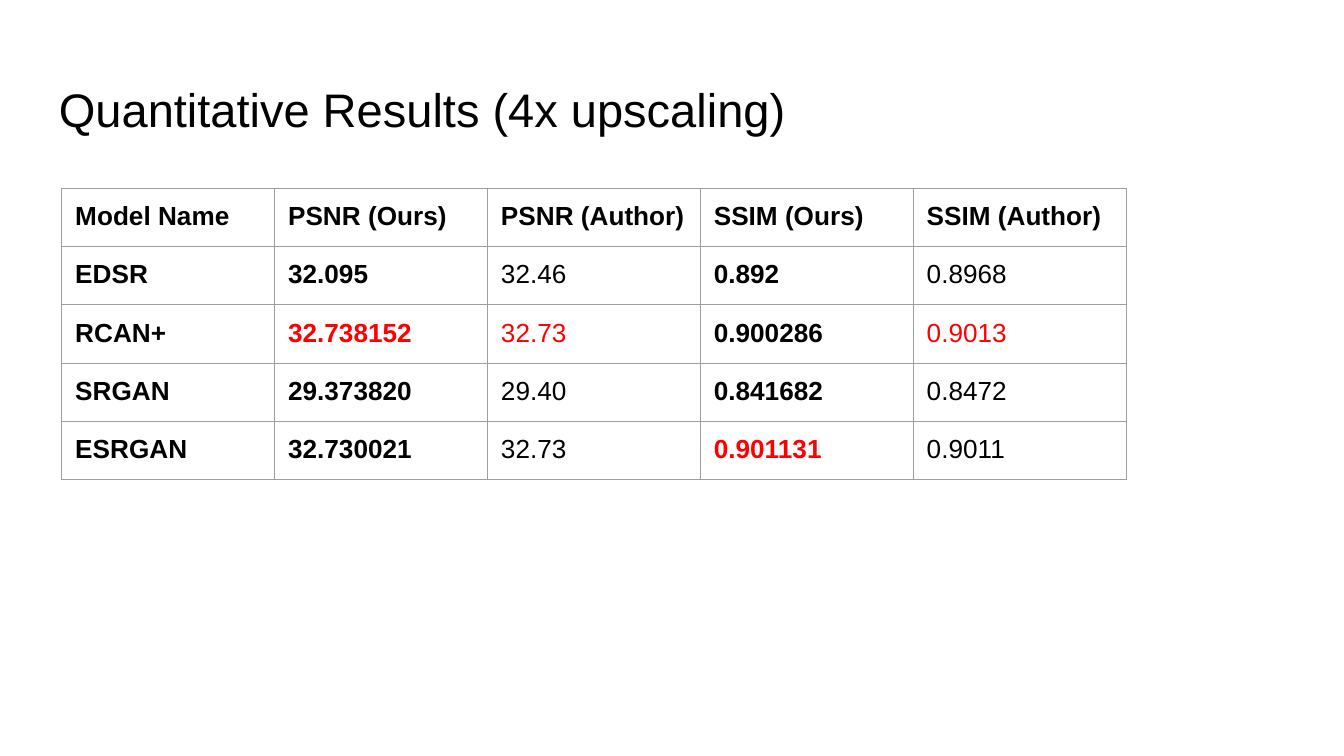
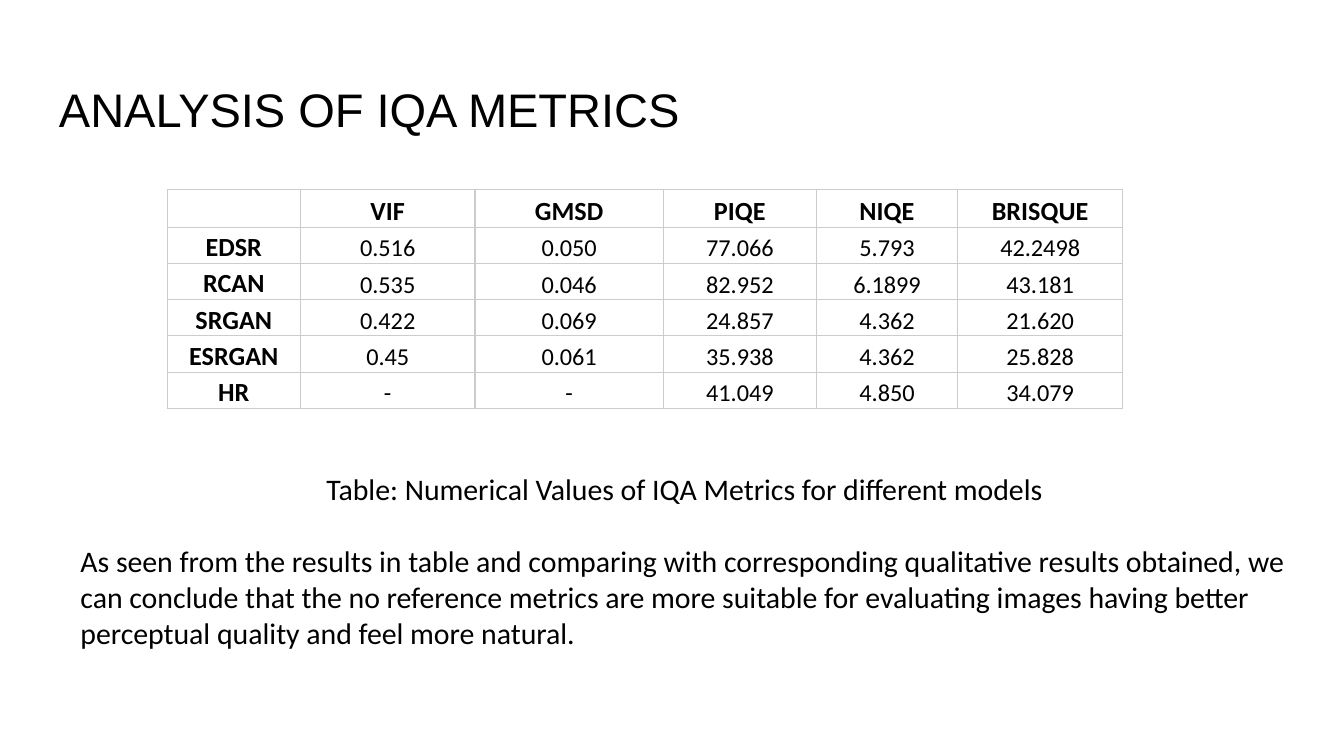
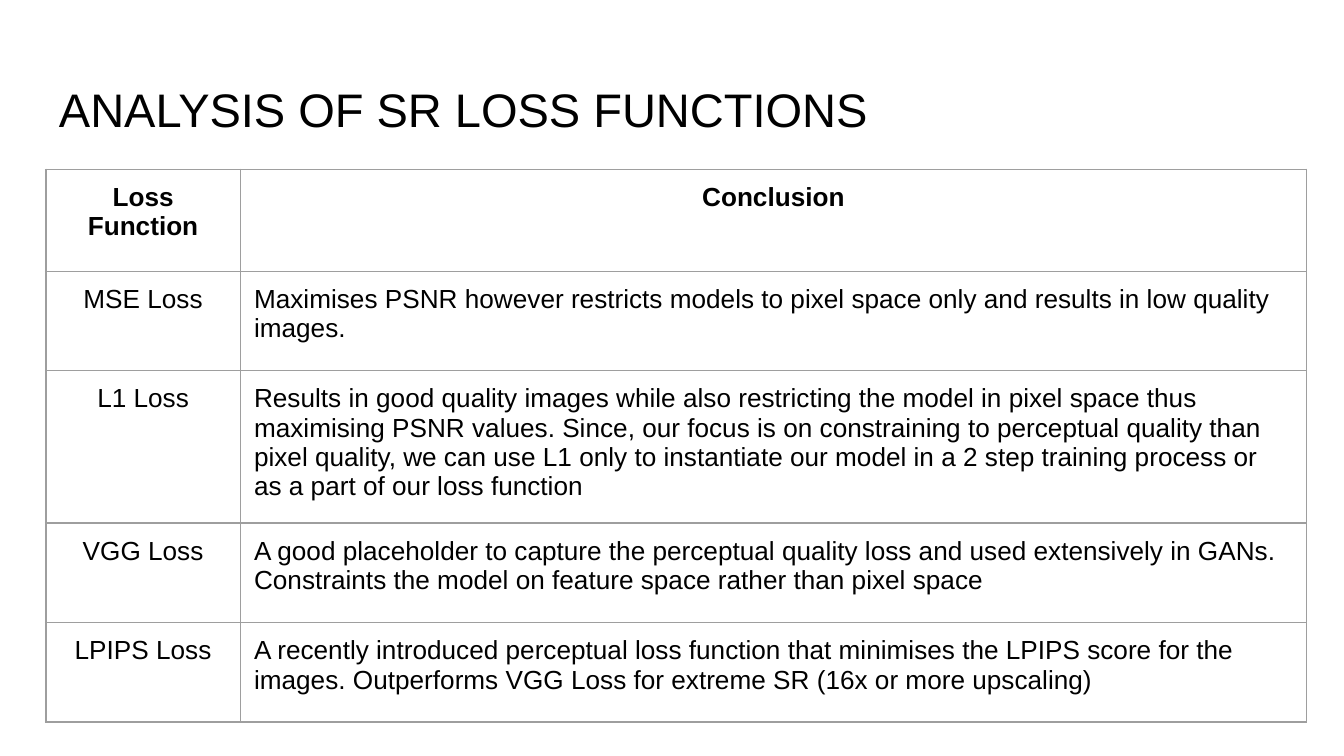
from lxml import etree
from pptx import Presentation
from pptx.dml.color import RGBColor
from pptx.enum.text import MSO_ANCHOR, PP_ALIGN
from pptx.oxml.ns import qn
from pptx.util import Inches, Pt

BLACK = RGBColor(0x00, 0x00, 0x00)
RED = RGBColor(0xFF, 0x00, 0x00)
GRAY = RGBColor(0x9E, 0x9E, 0x9E)
LIGHT_GRAY = RGBColor(0xCC, 0xCC, 0xCC)

LEFT, CENTER = PP_ALIGN.LEFT, PP_ALIGN.CENTER
TOP, BOTTOM = MSO_ANCHOR.TOP, MSO_ANCHOR.BOTTOM

SLIDE_WIDTH, SLIDE_HEIGHT = Inches(10), Inches(5.625)
PADDING = (0.1, 0.1)
TIGHT_PADDING = (0.03, 0)

QUALITY_ROWS = [
    ["Model Name", "PSNR (Ours)", "PSNR (Author)", "SSIM (Ours)", "SSIM (Author)"],
    ["EDSR", "32.095", "32.46", "0.892", "0.8968"],
    ["RCAN+", "32.738152", "32.73", "0.900286", "0.9013"],
    ["SRGAN", "29.373820", "29.40", "0.841682", "0.8472"],
    ["ESRGAN", "32.730021", "32.73", "0.901131", "0.9011"],
]
BEST_CELLS = {(2, 1), (2, 2), (2, 4), (4, 3)}

IQA_ROWS = [
    ["", "VIF", "GMSD", "PIQE", "NIQE", "BRISQUE"],
    ["EDSR", "0.516", "0.050", "77.066", "5.793", "42.2498"],
    ["RCAN", "0.535", "0.046", "82.952", "6.1899", "43.181"],
    ["SRGAN", "0.422", "0.069", "24.857", "4.362", "21.620"],
    ["ESRGAN", "0.45", "0.061", "35.938", "4.362", "25.828"],
    ["HR", "-", "-", "41.049", "4.850", "34.079"],
]
IQA_CAPTION = "Table: Numerical Values of IQA Metrics for different models"
IQA_CONCLUSION = (
    "As seen from the results in table and comparing with corresponding "
    "qualitative results obtained, we can conclude that the no reference metrics "
    "are more suitable for evaluating images having better perceptual quality "
    "and feel more natural."
)

LOSS_ROWS = [
    ["Loss Function", "Conclusion"],
    ["MSE Loss",
     "Maximises PSNR however restricts models to pixel space only and results in "
     "low quality images."],
    ["L1 Loss",
     "Results in good quality images while also restricting the model in pixel "
     "space thus maximising PSNR values. Since, our focus is on constraining to "
     "perceptual quality than pixel quality, we can use L1 only to instantiate our "
     "model in a 2 step training process or as a part of our loss function"],
    ["VGG Loss",
     "A good placeholder to capture the perceptual quality loss and used "
     "extensively in GANs. Constraints the model on feature space rather than "
     "pixel space"],
    ["LPIPS Loss",
     "A recently introduced perceptual loss function that minimises the LPIPS "
     "score for the images. Outperforms VGG Loss for extreme SR (16x or more "
     "upscaling)"],
]


def across(percent):
    return round(SLIDE_WIDTH * percent / 100)


def down(percent):
    return round(SLIDE_HEIGHT * percent / 100)


def write(paragraph, text, size=14, font="Arial", color=BLACK, bold=False,
          align=LEFT, spacing=None, before=0):
    """Fill one paragraph with text in the given format."""
    paragraph.alignment = align
    if spacing:
        paragraph.line_spacing = spacing
    if before:
        paragraph.space_before = Pt(before)
    if not text:
        # An empty cell still takes its height from the text size
        etree.SubElement(paragraph._p, qn("a:endParaRPr"), sz=str(size * 100))
        return
    run = paragraph.add_run()
    run.text = text
    run.font.name = font
    run.font.size = Pt(size)
    run.font.bold = bold
    run.font.color.rgb = color


def set_padding(holder, padding):
    side, end = padding
    holder.margin_left = holder.margin_right = Inches(side)
    holder.margin_top = holder.margin_bottom = Inches(end)


def add_text_frame(slide, left, top, width, height):
    box = slide.shapes.add_textbox(across(left), down(top), across(width), down(height))
    frame = box.text_frame
    frame.word_wrap = True
    frame.vertical_anchor = BOTTOM
    set_padding(frame, PADDING)
    return frame


def add_titled_slide(deck, title):
    slide = deck.slides.add_slide(deck.slide_layouts[6])
    frame = add_text_frame(slide, 3.4, 8.7, 93.2, 11.2)
    write(frame.paragraphs[0], title, size=25.2)
    return slide


def set_borders(cell, color, width):
    properties = cell._tc.get_or_add_tcPr()
    for position, side in enumerate(("lnL", "lnR", "lnT", "lnB")):
        line = etree.Element(qn(f"a:{side}"), w=str(Pt(width)))
        fill = etree.SubElement(line, qn("a:solidFill"))
        etree.SubElement(fill, qn("a:srgbClr"), val=str(color))
        properties.insert(position, line)


def add_grid(slide, rows, left, top, widths, heights, cell_format, line_color=GRAY,
             line_width=0.75, padding=PADDING, anchor=TOP):
    """Add a plain ruled table; cell_format(row, column) gives the text format."""
    table = slide.shapes.add_table(
        len(rows), len(widths), across(left), down(top),
        across(sum(widths)), down(sum(heights))).table
    table.first_row = table.horz_banding = False
    for column, width in zip(table.columns, widths):
        column.width = across(width)
    for row, height in zip(table.rows, heights):
        row.height = down(height)
    for r, texts in enumerate(rows):
        for c, text in enumerate(texts):
            cell = table.cell(r, c)
            cell.fill.background()
            cell.vertical_anchor = anchor
            set_padding(cell, padding)
            set_borders(cell, line_color, line_width)
            write(cell.text_frame.paragraphs[0], text, **cell_format(r, c))


def quality_format(row, column):
    return {"bold": row == 0 or column in (0, 1, 3),
            "color": RED if (row, column) in BEST_CELLS else BLACK}


def iqa_format(row, column):
    heading = row == 0 or column == 0
    return {"font": "Calibri", "size": 14 if heading else 13, "bold": heading,
            "align": CENTER, "spacing": 1.15}


def loss_format(row, column):
    return {"bold": row == 0, "align": CENTER if row == 0 or column == 0 else LEFT}


def main():
    deck = Presentation()
    deck.slide_width, deck.slide_height = SLIDE_WIDTH, SLIDE_HEIGHT

    # Quantitative results
    slide = add_titled_slide(deck, "Quantitative Results (4x upscaling)")
    add_grid(slide, QUALITY_ROWS, 4.6, 24.9, [15.84] * 5, [7.43] * 5, quality_format)

    # Image quality metrics, with caption and conclusion
    slide = add_titled_slide(deck, "ANALYSIS OF IQA METRICS")
    add_grid(slide, IQA_ROWS, 12.45, 25.1, [9.9, 13, 14, 11.4, 10.5, 12.3],
             [4.95] + [4.8] * 5, iqa_format, line_color=LIGHT_GRAY,
             padding=TIGHT_PADDING, anchor=BOTTOM)
    frame = add_text_frame(slide, 5, 54.9, 91.9, 32.9)
    write(frame.paragraphs[0], IQA_CAPTION, size=16, font="Calibri", align=CENTER)
    write(frame.add_paragraph(), IQA_CONCLUSION, size=16, font="Calibri", before=19.5)

    # Loss functions
    slide = add_titled_slide(deck, "ANALYSIS OF SR LOSS FUNCTIONS")
    add_grid(slide, LOSS_ROWS, 3.4, 22.4, [14.5, 79.3], [13.5] + [13.15] * 4,
             loss_format, line_width=1)

    deck.save("out.pptx")


if __name__ == "__main__":
    main()
